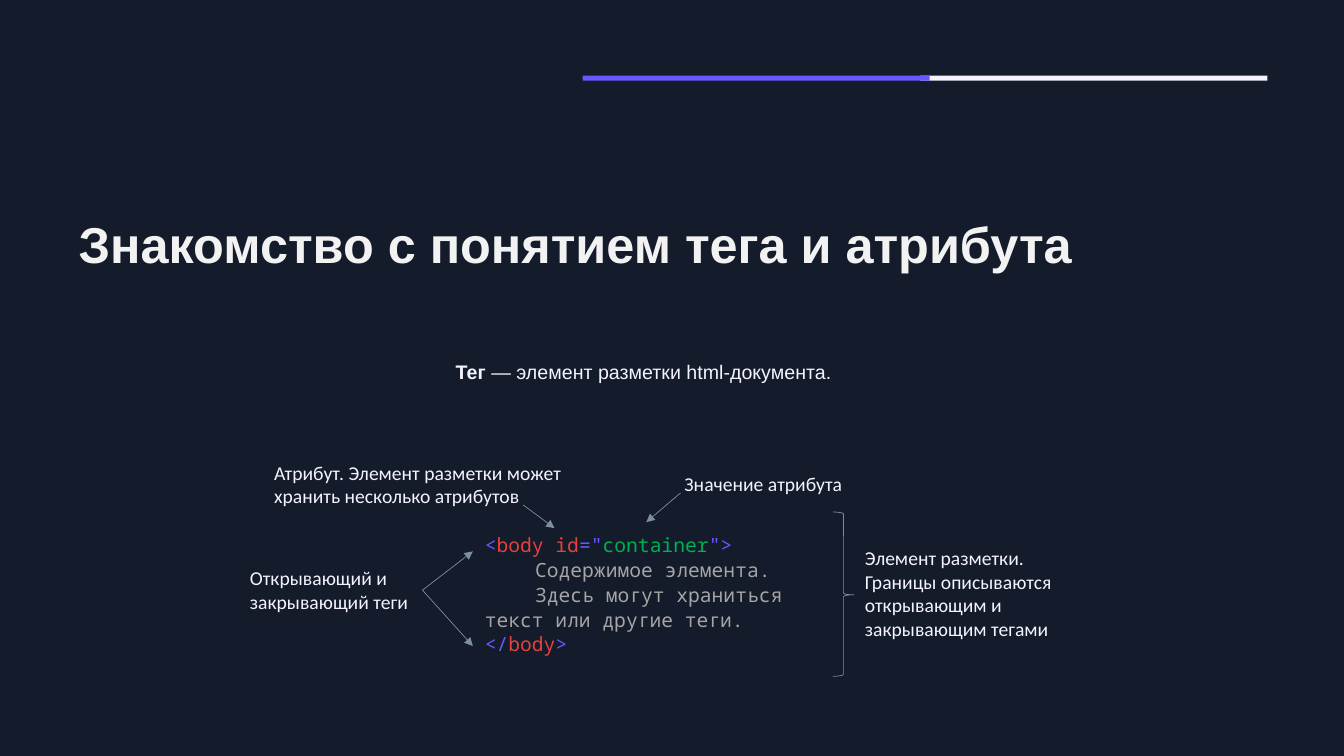
from lxml import etree
from pptx import Presentation
from pptx.dml.color import RGBColor
from pptx.enum import shapes, text
from pptx.oxml import ns
from pptx.util import Inches, Pt

VIOLET, PALE, RED, GREEN = "6759FE", "F4F3FF", "E8403C", "00B050"
GRAY, STEEL = "A6A6A6", "7B8F9D"


def rgb(code):
    return RGBColor.from_string(code)


def write(para, words, size=14, font="Calibri", color=PALE, bold=False):
    run = para.add_run()
    run.text = words
    run.font.size, run.font.name, run.font.bold = Pt(size), font, bold
    run.font.color.rgb = rgb(color)


deck = Presentation()
deck.slide_width, deck.slide_height = Inches(13.33), Inches(7.5)
slide = deck.slides.add_slide(deck.slide_layouts[5])
slide.background.fill.solid()
slide.background.fill.fore_color.rgb = rgb("141B2A")
items = slide.shapes

# Title
title = items.title
title.left, title.top = Inches(0.68), Inches(2.13)
title.width, title.height = Inches(11.89), Inches(0.84)
title.text_frame.vertical_anchor = text.MSO_ANCHOR.TOP
title.text_frame.word_wrap = True
para = title.text_frame.paragraphs[0]
para.alignment = text.PP_ALIGN.LEFT
para.line_spacing = 0.9
write(para, "Знакомство с понятием тега и атрибута", size=36, font="Arial",
      color="F2F2F2", bold=True)

# Two-colour rule at the top
for left, color in ((9.13, PALE), (5.78, VIOLET)):
    bar = items.add_shape(shapes.MSO_SHAPE.RECTANGLE, Inches(left), Inches(0.75),
                          Inches(3.44), Inches(0.05))
    bar.shadow.inherit = False
    bar.fill.solid()
    bar.fill.fore_color.rgb = rgb(color)
    bar.line.fill.background()

# Text boxes: definition, code and labels
places = {
    "term": (3.97, 3.52, 4.83, 0.34),
    "code": (4.71, 5.22, 3.63, 1.34),
    "Элемент разметки. Границы описываются открывающим и закрывающим тегами":
        (8.48, 5.37, 2.09, 1.04),
    "Открывающий и закрывающий теги": (2.38, 5.57, 1.81, 0.57),
    "Атрибут. Элемент разметки может хранить несколько атрибутов":
        (2.62, 4.52, 3.09, 0.57),
    "Значение атрибута": (6.69, 4.63, 1.79, 0.34),
}
boxes = {}
for name, place in places.items():
    box = items.add_textbox(*map(Inches, place))
    box.text_frame.word_wrap = True
    boxes[name] = box
    if name not in ("term", "code"):
        write(box.text_frame.paragraphs[0], name)

# Definition
para = boxes["term"].text_frame.paragraphs[0]
para.alignment = text.PP_ALIGN.CENTER
write(para, "Тег", font="Arial", bold=True)
write(para, " — элемент разметки html-документа.", font="Arial")

# Code sample
code = (
    (("<", VIOLET), ("body id", RED), ('="', VIOLET), ("container", GREEN),
     ('">', VIOLET)),
    (("\tСодержимое элемента.", GRAY),),
    (("\tЗдесь могут храниться \tтекст или другие теги.", GRAY),),
    (("</", VIOLET), ("body", RED), (">", VIOLET)),
)
frame = boxes["code"].text_frame
for row, parts in enumerate(code):
    para = frame.add_paragraph() if row else frame.paragraphs[0]
    para.line_spacing = 1.07 if row < 3 else 1.0
    for words, color in parts:
        write(para, words, font="Noto Sans Mono", color=color)

# Brace around the element
brace = items.add_shape(shapes.MSO_SHAPE.RIGHT_BRACE, Inches(8.26), Inches(5.08),
                        Inches(0.21), Inches(1.63))
brace.adjustments[0], brace.adjustments[1] = 0.083, 0.504
brace.shadow.inherit = False
brace.fill.background()
brace.line.color.rgb = rgb(STEEL)
brace.line.width = Pt(0.5)

# Arrows from the labels to the code
tags = boxes["Открывающий и закрывающий теги"]
arrows = (
    (4.19, 5.85, 4.69, 5.47, tags),
    (4.19, 5.85, 4.69, 6.41, tags),
    (5.19, 5.01, 5.5, 5.24, None),
    (6.75, 4.89, 6.41, 5.18, None),
)
for *ends, source in arrows:
    arrow = items.add_connector(shapes.MSO_CONNECTOR.STRAIGHT, *map(Inches, ends))
    if source is not None:
        arrow.begin_connect(source, 3)
    arrow.line.color.rgb = rgb(STEEL)
    arrow.line.width = Pt(0.5)
    etree.SubElement(arrow.line._get_or_add_ln(), ns.qn("a:tailEnd"), type="triangle")
    etree.SubElement(arrow._element.spPr, ns.qn("a:effectLst"))

deck.save("out.pptx")
